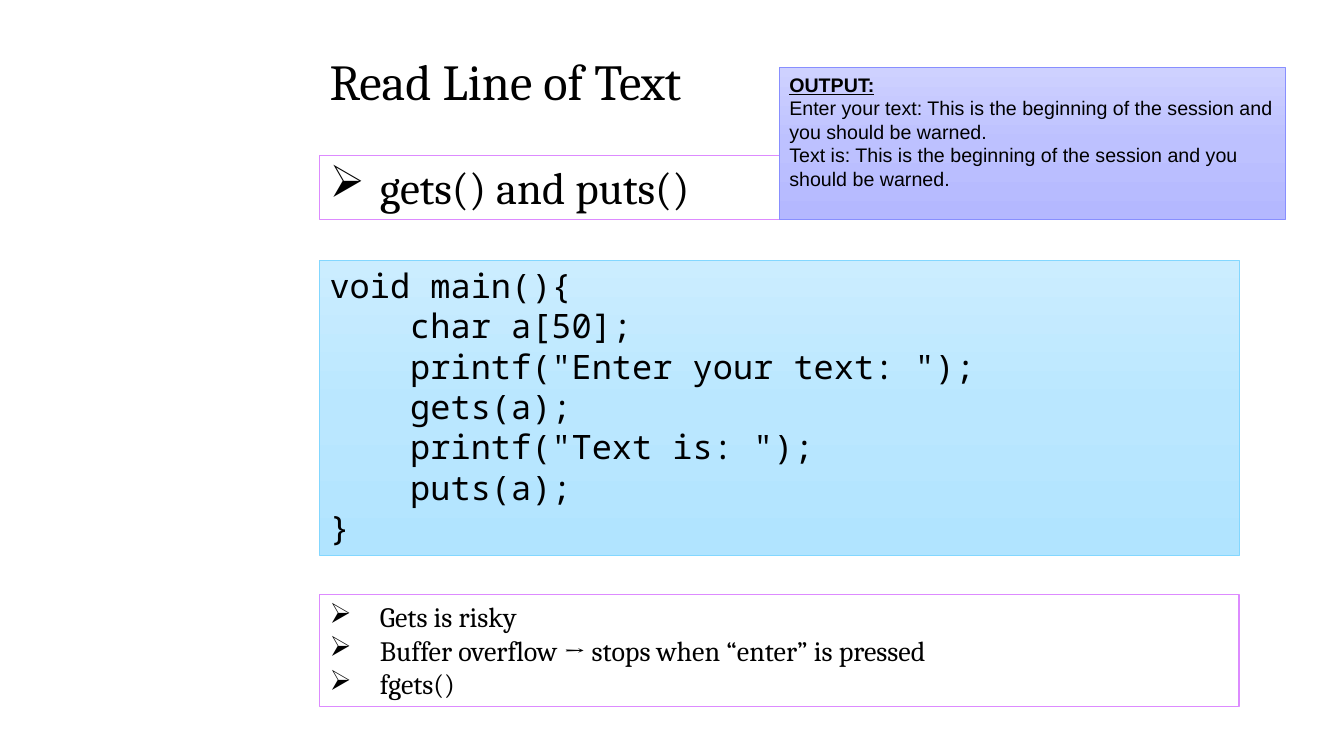
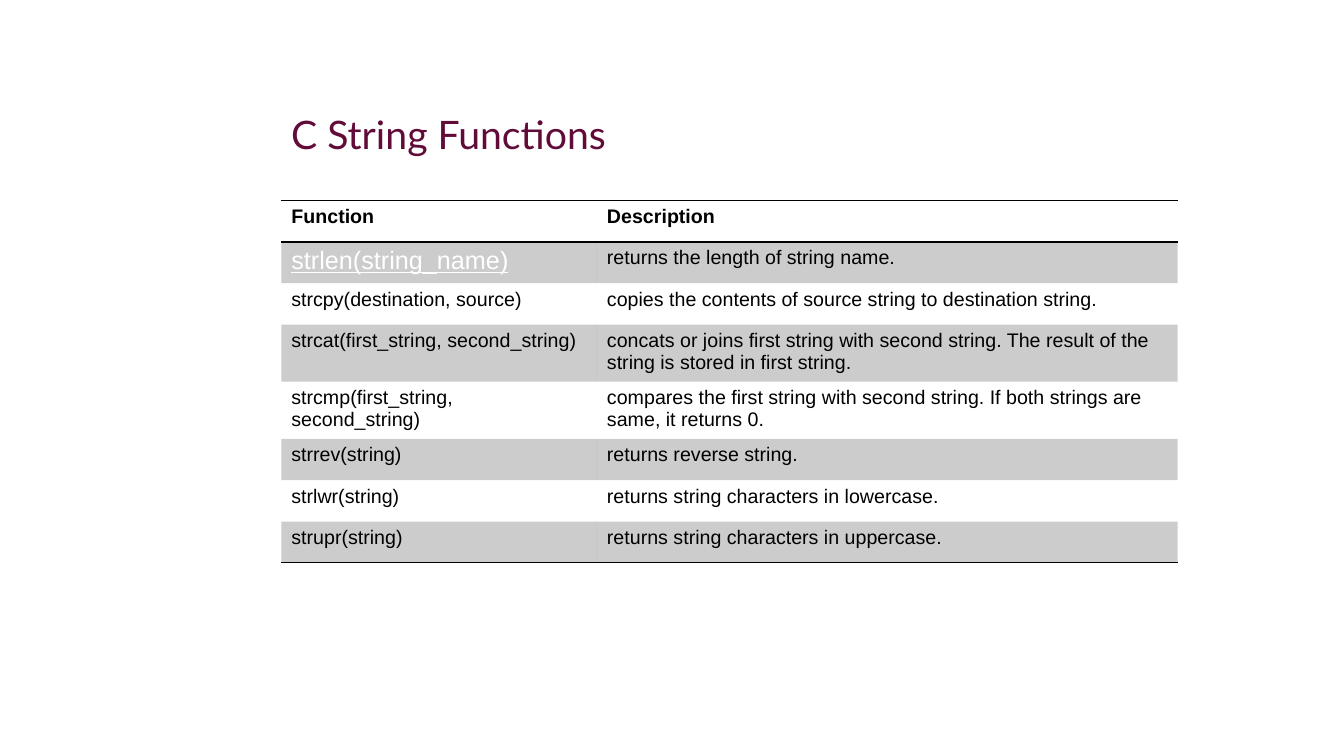
from copy import deepcopy

from pptx import Presentation
from pptx.dml.color import RGBColor
from pptx.enum.shapes import MSO_SHAPE
from pptx.enum.text import MSO_ANCHOR, PP_ALIGN
from pptx.oxml.ns import qn
from pptx.oxml.xmlchemy import OxmlElement
from pptx.util import Inches, Pt

BLACK = RGBColor(0x00, 0x00, 0x00)
WHITE = RGBColor(0xFF, 0xFF, 0xFF)
VIOLET = RGBColor(0xDD, 0x8B, 0xFF)
SKY_LINE = RGBColor(0x83, 0xD7, 0xFF)
SKY = [RGBColor(0xCB, 0xED, 0xFF), RGBColor(0xBA, 0xE7, 0xFF), RGBColor(0xB1, 0xE4, 0xFF)]
LILAC_LINE = RGBColor(0x88, 0x8F, 0xFF)
LILAC = [RGBColor(0xCE, 0xD1, 0xFF), RGBColor(0xBD, 0xC1, 0xFF), RGBColor(0xB4, 0xB8, 0xFF)]
PLUM = RGBColor(0x61, 0x0B, 0x38)

SERIF, SANS, MONO, TITLE_SANS = "Cambria", "Arial", "Noto Sans Mono", "Lato"
NO_STYLE = "{2D5ABB26-0587-4C30-8999-92F81FD0307C}"


def write(frame, lines, font, size, color=BLACK, bullet=None, align=PP_ALIGN.LEFT):
    """Put one paragraph per line into a text frame."""
    frame.word_wrap = True
    frame.vertical_anchor = MSO_ANCHOR.TOP
    frame.text = "\n".join(lines)
    for para in frame.paragraphs:
        para.alignment = align
        if bullet:
            props = para._p.get_or_add_pPr()
            props.set("marL", str(Inches(0.5)))
            props.set("indent", str(-Inches(0.5)))
            mark = OxmlElement("a:buChar")
            mark.set("char", bullet)
            props.append(mark)
        for span in para.runs:
            span.font.name = font
            span.font.size = Pt(size)
            span.font.color.rgb = color


def add_panel(page, left, top, width, height, fills, line, weight):
    """Draw a rectangle with a plain fill or an even top-to-bottom gradient."""
    panel = page.shapes.add_shape(MSO_SHAPE.RECTANGLE, Inches(left), Inches(top),
                                  Inches(width), Inches(height))
    panel.shadow.inherit = False
    panel.line.color.rgb = line
    panel.line.width = Pt(weight)
    if len(fills) == 1:
        panel.fill.solid()
        panel.fill.fore_color.rgb = fills[0]
    else:
        panel.fill.gradient()
        panel.fill.gradient_angle = 270
        stop_list = panel._element.spPr.find(".//" + qn("a:gsLst"))
        stop_list.insert(1, deepcopy(stop_list[0]))
        for index, stop in enumerate(panel.fill.gradient_stops):
            stop.position = index / (len(fills) - 1)
            stop.color.rgb = fills[index]
    return panel


deck = Presentation()
deck.slide_width, deck.slide_height = Inches(13.33), Inches(7.5)
blank = deck.slide_layouts[6]

# Slide 1: reading a line of text
page = deck.slides.add_slide(blank)
LEFT, WIDTH = 3.17, 9.12
title = page.shapes.add_textbox(Inches(LEFT), Inches(0.45), Inches(9.65), Inches(0.71))
write(title.text_frame, ["Read Line of Text"], SERIF, 36)

topic = add_panel(page, LEFT, 1.54, WIDTH, 0.64, [WHITE], VIOLET, 1)
write(topic.text_frame, ["gets() and puts()"], SERIF, 32, bullet="➢")

code = add_panel(page, LEFT, 2.58, WIDTH, 2.93, SKY, SKY_LINE, 0.5)
write(code.text_frame, [
    "void main(){",
    "    char a[50];",
    '    printf("Enter your text: ");',
    "    gets(a);",
    '    printf("Text is: ");',
    "    puts(a);",
    "}",
], MONO, 24)

risks = add_panel(page, LEFT, 5.9, WIDTH, 1.11, [WHITE], VIOLET, 1)
write(risks.text_frame, [
    "Gets is risky",
    "Buffer overflow → stops when “enter” is pressed",
    "fgets()",
], SERIF, 20, bullet="➢")

output = add_panel(page, 7.73, 0.67, 5.02, 1.51, LILAC, LILAC_LINE, 0.5)
write(output.text_frame, [
    "OUTPUT:",
    "Enter your text: This is the beginning of the session and you should be warned.",
    "Text is: This is the beginning of the session and you should be warned.",
], SANS, 14)
heading = output.text_frame.paragraphs[0].runs[0].font
heading.bold = heading.underline = True

# Slide 2: table of string functions
page = deck.slides.add_slide(blank)
rows = [
    ("Function", "Description"),
    ("strlen(string_name)", "returns the length of string name."),
    ("strcpy(destination, source)",
     "copies the contents of source string to destination string."),
    ("strcat(first_string, second_string)",
     "concats or joins first string with second string. "
     "The result of the string is stored in first string."),
    ("strcmp(first_string, second_string)",
     "compares the first string with second string. If both strings are same, it returns 0."),
    ("strrev(string)", "returns reverse string."),
    ("strlwr(string)", "returns string characters in lowercase."),
    ("strupr(string)", "returns string characters in uppercase."),
]
ROW_HEIGHT = 0.41
table = page.shapes.add_table(len(rows), 2, Inches(2.79), Inches(1.99), Inches(8.89),
                              Inches(ROW_HEIGHT * len(rows))).table
table._tbl.tblPr.find(qn("a:tableStyleId")).text = NO_STYLE
for column, width in zip(table.columns, (3.13, 5.76)):
    column.width = Inches(width)

# Rules above and below the header and below the last row
rules = {0: ("a:lnT", "a:lnB"), len(rows) - 1: ("a:lnB",)}
for row_index, texts in enumerate(rows):
    table.rows[row_index].height = Inches(ROW_HEIGHT)
    for column_index, text in enumerate(texts):
        cell = table.cell(row_index, column_index)
        write(cell.text_frame, [text], SANS, 14)
        cell.text_frame.paragraphs[0].runs[0].font.bold = row_index == 0
        props = cell._tc.get_or_add_tcPr()
        for side in rules.get(row_index, ()):
            rule = OxmlElement(side)
            rule.set("w", str(Pt(1)))
            paint = OxmlElement("a:solidFill")
            color = OxmlElement("a:srgbClr")
            color.set("val", str(BLACK))
            paint.append(color)
            rule.append(paint)
            props.append(rule)
        # Odd rows are shaded with black at 20 % opacity
        if row_index % 2:
            cell.fill.solid()
            cell.fill.fore_color.rgb = BLACK
            alpha = OxmlElement("a:alpha")
            alpha.set("val", "20000")
            props.find(qn("a:solidFill")).find(qn("a:srgbClr")).append(alpha)
        else:
            cell.fill.background()

strlen_font = table.cell(1, 0).text_frame.paragraphs[0].runs[0].font
strlen_font.size = Pt(18)
strlen_font.underline = True
strlen_font.color.rgb = WHITE

title = page.shapes.add_textbox(Inches(2.79), Inches(1.05), Inches(6.67), Inches(0.57))
write(title.text_frame, ["C String Functions"], TITLE_SANS, 28, PLUM, align=PP_ALIGN.JUSTIFY)

deck.save("out.pptx")
